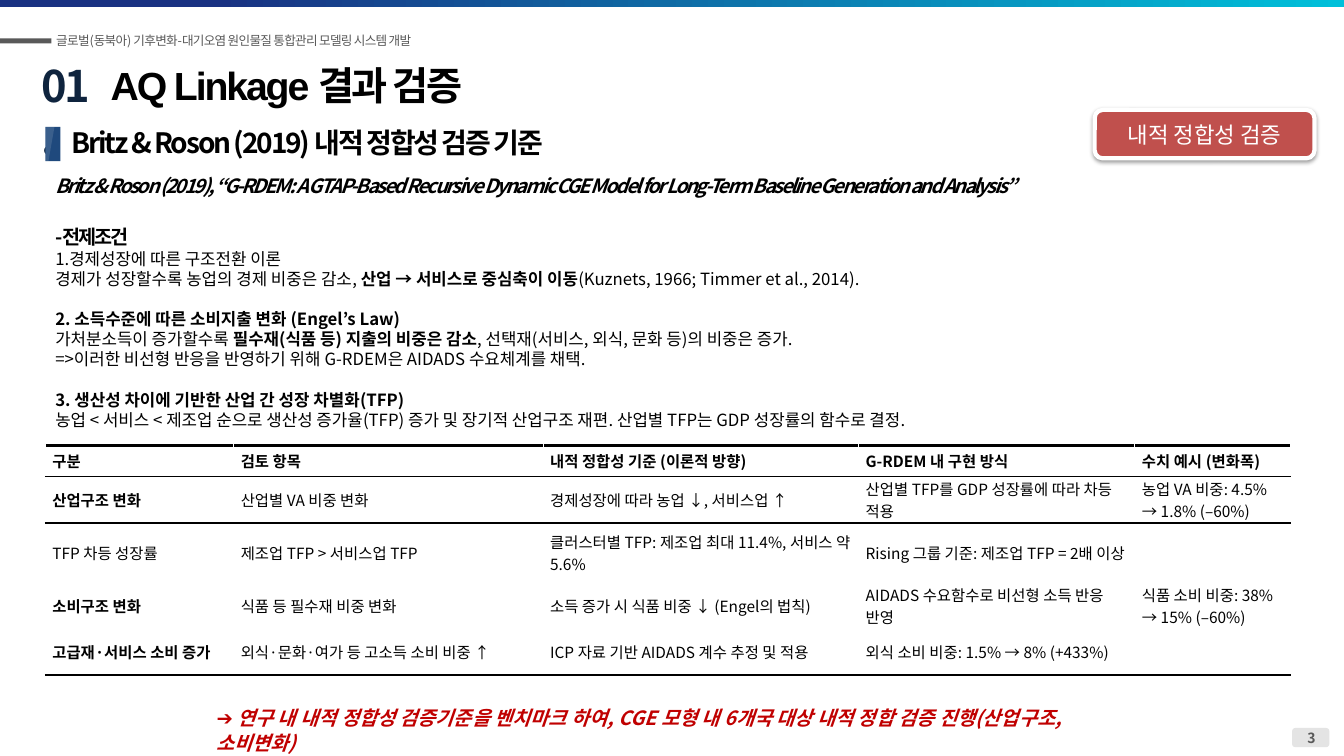
from dataclasses import dataclass, field
from typing import Any, NamedTuple

from lxml.etree import SubElement as Sub
from pptx import Presentation
from pptx.dml.color import RGBColor
from pptx.enum.shapes import MSO_SHAPE as Kind
from pptx.enum.text import MSO_ANCHOR as Anchor, PP_ALIGN as Align
from pptx.oxml.ns import qn
from pptx.util import Pt

NOTO = "Noto Sans CJK KR"
BLACK = RGBColor(0, 0, 0)
WHITE = RGBColor(255, 255, 255)
GRAY = RGBColor(0x59, 0x59, 0x59)
SILVER = RGBColor(0xE4, 0xE4, 0xE4)
NAVY = RGBColor(0x0F, 0x24, 0x3E)
BLUE = RGBColor(0x1F, 0x49, 0x7D)
DEEP = RGBColor(0x19, 0x32, 0x82)
CYAN = RGBColor(0, 0xC0, 0xDA)
BRICK = RGBColor(0xC0, 0x50, 0x4D)
RED = RGBColor(0xC0, 0, 0)


class Box(NamedTuple):
    x: float
    y: float
    w: float
    h: float

    def emu(self) -> list:
        return [Pt(v) for v in self]


class Run(NamedTuple):
    text: str
    bold: bool = False


@dataclass
class Para:
    runs: list
    size: float
    color: RGBColor = BLACK
    face: str = NOTO
    italic: bool = False
    track: float = 0
    before: float = 0
    pitch: float = 0
    align: Any = Align.LEFT
    auto: bool = False


@dataclass
class Label:
    box: Box
    paras: list
    wrap: bool = True
    anchor: Any = Anchor.TOP


@dataclass
class Block:
    box: Box
    color: RGBColor
    kind: Any = Kind.RECTANGLE
    stops: list = field(default_factory=list)


def write(frame: Any, paras: list) -> None:
    for i, item in enumerate(paras):
        para = frame.paragraphs[0] if i == 0 else frame.add_paragraph()
        if item.auto:
            props = para._p.get_or_add_pPr()
            props.set("marL", "0")
            props.set("indent", "0")
            Sub(props, qn("a:buFont"), typeface="+mj-lt")
            Sub(props, qn("a:buAutoNum"), type="arabicPeriod")
        para.alignment = item.align
        if item.before:
            para.space_before = Pt(item.before)
        if item.pitch:
            para.line_spacing = Pt(item.pitch)
        for part in item.runs:
            run = para.add_run()
            run.text = part.text
            look = {"name": item.face, "size": Pt(item.size),
                    "bold": part.bold, "italic": item.italic}
            for key, val in look.items():
                setattr(run.font, key, val)
            run.font.color.rgb = item.color
            props = run._r.get_or_add_rPr()
            Sub(props, qn("a:ea"), typeface=NOTO)
            if item.track:
                props.set("spc", str(round(item.track * 100)))


def draw_label(slide: Any, item: Label) -> None:
    frame = slide.shapes.add_textbox(*item.box.emu()).text_frame
    frame.word_wrap = item.wrap
    frame.vertical_anchor = item.anchor
    write(frame, item.paras)


def draw_block(slide: Any, item: Block) -> Any:
    shape = slide.shapes.add_shape(item.kind, *item.box.emu())
    shape.shadow.inherit = False
    shape.line.fill.background()
    if item.stops:
        shape.fill.gradient()
        shape.fill.gradient_angle = 0
        for stop, (place, color) in zip(shape.fill.gradient_stops, item.stops):
            stop.position, stop.color.rgb = place, color
    else:
        shape.fill.solid()
        shape.fill.fore_color.rgb = item.color
    return shape


def draw_facet(slide: Any) -> None:
    pen = slide.shapes.build_freeform(Pt(32.4), Pt(90.7))
    pen.add_line_segments([(Pt(38.9), Pt(90.7)), (Pt(34.6), Pt(115.2)),
                           (Pt(32.4), Pt(115.2))], close=True)
    shape = pen.convert_to_shape()
    shape.shadow.inherit = False
    shape.line.fill.background()
    shape.fill.solid()
    shape.fill.fore_color.rgb = WHITE
    tint = shape._element.spPr.find(qn("a:solidFill"))[0]
    Sub(tint, qn("a:alpha"), val="12000")


def draw_badge(slide: Any) -> None:
    shape = draw_block(slide, Block(Box(781.9, 78.5, 157, 34.6), BRICK, Kind.ROUNDED_RECTANGLE))
    shape.line.color.rgb = WHITE
    shape.line.width = Pt(3)
    glow = Sub(shape._element.spPr.find(qn("a:effectLst")), qn("a:outerShdw"),
               blurRad=str(Pt(3.1)), dist=str(Pt(1.6)), dir="5400000", rotWithShape="0")
    Sub(Sub(glow, qn("a:srgbClr"), val="000000"), qn("a:alpha"), val="38000")
    shape.text_frame.vertical_anchor = Anchor.MIDDLE
    write(shape.text_frame, [Para([Run("내적 정합성 검증")], 16, WHITE, align=Align.CENTER)])


def draw_rule(cell: Any, side: str, width: float) -> None:
    line = Sub(cell._tc.get_or_add_tcPr(), qn("a:" + side), w=str(Pt(width)))
    Sub(Sub(line, qn("a:solidFill")), qn("a:srgbClr"), val=str(BLACK))


def draw_table(slide: Any) -> None:
    box = Box(32.4, 318.2, 888.5, 164.1)
    table = slide.shapes.add_table(len(ROWS), len(WIDTHS), *box.emu()).table
    table.first_row = table.horz_banding = False
    for col, wide in zip(table.columns, WIDTHS):
        col.width = Pt(wide)
    for r, (row, texts) in enumerate(zip(table.rows, ROWS)):
        row.height = Pt(HEIGHTS[r])
        for c, (cell, text) in enumerate(zip(row.cells, texts)):
            for side, edge in (("lnT", r), ("lnB", r + 1)):
                if edge in RULES:
                    draw_rule(cell, side, RULES[edge])
            look = {"margin_left": Pt(5), "margin_right": Pt(5), "margin_top": Pt(0.5),
                    "margin_bottom": Pt(0.5), "vertical_anchor": Anchor.MIDDLE}
            for key, val in look.items():
                setattr(cell, key, val)
            cell.fill.solid()
            cell.fill.fore_color.rgb = WHITE
            if text:
                bold = r == 0 or (c == 0 and r != 2)
                write(cell.text_frame, [Para([Run(text, bold)], 11, pitch=15.7)])


def line(*runs: Run, before: float = 0, auto: bool = False) -> Para:
    return Para(list(runs), 12, before=before, pitch=14.4, auto=auto)


# Table content; rules are keyed by row edge
WIDTHS = [134.6, 221, 225.4, 197.3, 110.9]
HEIGHTS = [22.3, 33.1, 42.5, 33.1, 33.1]
RULES = {0: 2, 1: 1, 2: 1, 5: 2}
ROWS = [
    ["구분", "검토 항목", "내적 정합성 기준 (이론적 방향)", "G-RDEM 내 구현 방식", "수치 예시 (변화폭)"],
    ["산업구조 변화", "산업별 VA 비중 변화", "경제성장에 따라 농업 ↓, 서비스업 ↑",
     "산업별 TFP를 GDP 성장률에 따라 차등 적용", "농업 VA 비중: 4.5% → 1.8% (–60%)"],
    ["TFP 차등 성장률", "제조업 TFP > 서비스업 TFP", "클러스터별 TFP: 제조업 최대 11.4%, 서비스 약 5.6%",
     "Rising 그룹 기준: 제조업 TFP = 2배 이상", ""],
    ["소비구조 변화", "식품 등 필수재 비중 변화", "소득 증가 시 식품 비중 ↓ (Engel의 법칙)",
     "AIDADS 수요함수로 비선형 소득 반응 반영", "식품 소비 비중: 38% → 15% (–60%)"],
    ["고급재·서비스 소비 증가", "외식·문화·여가 등 고소득 소비 비중 ↑",
     "ICP 자료 기반 AIDADS 계수 추정 및 적용", "외식 소비 비중: 1.5% → 8% (+433%)", ""],
]

# Premises
BODY = [
    Para([Run("Britz & Roson (2019), “G-RDEM: A GTAP-Based Recursive Dynamic CGE Model for "
              "Long-Term Baseline Generation and Analysis”", True)],
         14, italic=True, track=-1.5, pitch=16),
    Para([Run("-전제조건", True)], 14, track=-1.5, before=22, pitch=14.4),
    line(Run("경제성장에 따른 구조전환 이론"), auto=True),
    line(Run("경제가 성장할수록 농업의 경제 비중은 감소, "), Run("산업 → 서비스로 중심축이 이동", True),
         Run("(Kuznets, 1966; Timmer et al., 2014).")),
    line(Run("2. 소득수준에 따른 소비지출 변화 (Engel’s Law)", True), before=14.4),
    line(Run("가처분소득이 증가할수록 "), Run("필수재(식품 등) 지출의 비중은 감소", True),
         Run(", 선택재(서비스, 외식, 문화 등)의 비중은 증가.")),
    line(Run("=>이러한 비선형 반응을 반영하기 위해 G-RDEM은 AIDADS 수요체계를 채택.")),
    line(Run("3. 생산성 차이에 기반한 산업 간 성장 차별화(TFP)", True), before=14.4),
    line(Run("농업 < 서비스 < 제조업 순으로 생산성 증가율(TFP) 증가 및 장기적 산업구조 재편. "
             "산업별 TFP는 GDP 성장률의 함수로 결정.")),
]

BLOCKS = [
    Block(Box(0, 0, 960, 5), DEEP, stops=[(0.16, DEEP), (1, CYAN)]),
    Block(Box(923, 520, 26.6, 13.7), SILVER, Kind.ROUNDED_RECTANGLE),
    Block(Box(0, 27.4, 36.7, 3.6), GRAY),
]
LABELS = [
    Label(Box(33.1, 20.2, 296, 18), [Para(
        [Run("글로벌(동북아) 기후변화-대기오염 원인물질 통합관리 모델링 시스템 개발")],
        9, GRAY, track=-0.5)], wrap=False),
    Label(Box(908.6, 517.7, 56.2, 19.4), [Para([Run("3", True)], 10, GRAY, align=Align.CENTER)]),
    Label(Box(22.3, 38.9, 55.4, 44.6), [Para([Run("01.", True)], 31, NAVY, track=-1.3)]),
    Label(Box(72, 40.3, 587.5, 74.9), [Para(
        [Run("AQ Linkage 결과 검증", True)], 28, face="Arial", track=-1.5)]),
    Label(Box(32.4, 120.2, 864.7, 191.5), BODY, anchor=Anchor.MIDDLE),
    Label(Box(43.9, 85.7, 766.8, 31.7), [Para(
        [Run("Britz & Roson (2019) 내적 정합성 검증 기준", True)], 20, track=-1.5)],
        anchor=Anchor.MIDDLE),
    Label(Box(147.6, 499.7, 664.6, 24.5), [Para(
        [Run("➔ 연구 내 내적 정합성 검증기준을 벤치마크 하여, CGE 모형 내 6개국 대상 "
             "내적 정합 검증 진행(산업구조, 소비변화)", True)], 14, RED, italic=True, pitch=17.9)]),
]


def main() -> None:
    deck = Presentation()
    deck.slide_width, deck.slide_height = Pt(960), Pt(540)
    slide = deck.slides.add_slide(deck.slide_layouts[6])
    for item in BLOCKS:
        draw_block(slide, item)
    for item in LABELS:
        draw_label(slide, item)
    # Heading marker with a light facet
    draw_block(slide, Block(Box(32.4, 90.7, 10.8, 24.5), BLUE))
    draw_facet(slide)
    draw_badge(slide)
    draw_table(slide)
    deck.save("out.pptx")


if __name__ == "__main__":
    main()
